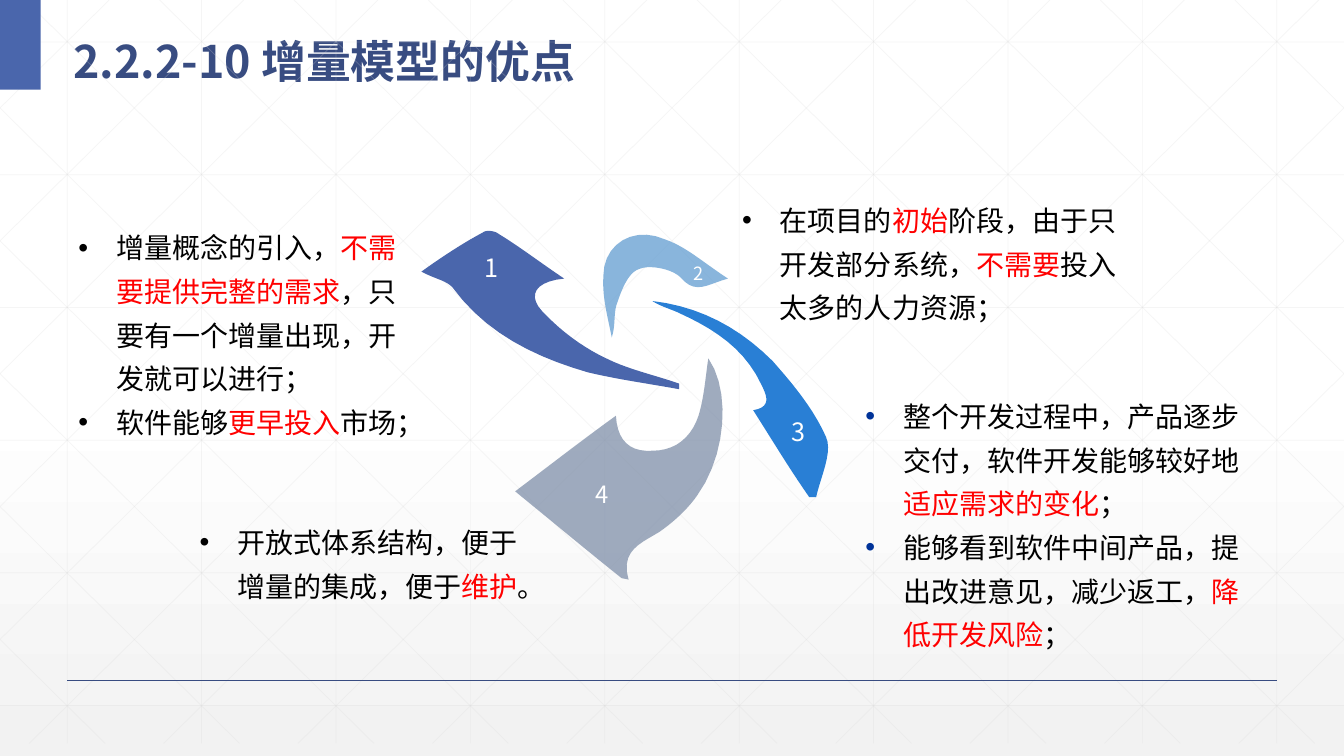
from lxml import etree
from pptx import Presentation
from pptx import util as u
from pptx.dml.color import RGBColor
from pptx.enum import shapes, text
from pptx.oxml.ns import qn

WIDTH, HEIGHT, GRID_HEIGHT = 960, 540, 531
FONT = "Noto Sans CJK SC"
COLORS = {
    "white": "FFFFFF", "pale": "F2F2F2", "grid": "D9D9D9", "navy": "384C81",
    "indigo": "4A66AC", "sky": "629DD1", "blue": "297FD5", "slate": "7F8FA9",
    "black": "000000", "red": "FF0000", "bullet": "003399",
}

# Each petal: colour, opacity, digit, digit size, digit centre, start point,
# then one row of two control points and an end point per curve.
PETALS = [
    ("indigo", 100, "1", 18, (51, 31), (103, 39), [
        (82, 41, 77, 51, 87, 62), (100, 76, 116, 88, 133, 96),
        (149, 104, 168, 108, 185, 114), (185, 115, 185, 116, 185, 118),
        (163, 114, 141, 111, 120, 106), (82, 95, 47, 78, 23, 45),
        (18, 40, 10, 39, 1, 34), (15, 24, 30, 14, 45, 6),
        (47, 4, 54, 5, 56, 7), (71, 16, 85, 27, 103, 39)]),
    ("sky", 75, "2", 13, (199, 35.5), (220, 39), [
        (205, 43, 197, 51, 186, 38), (180, 32, 164, 29, 157, 32),
        (149, 34, 144, 47, 141, 56), (138, 63, 140, 72, 137, 81),
        (134, 66, 130, 52, 131, 37), (131, 14, 153, 1, 175, 11),
        (190, 16, 203, 28, 220, 39)]),
    ("blue", 100, "3", 18, (270, 148), (278, 195), [
        (264, 175, 252, 155, 238, 133), (251, 131, 248, 123, 244, 115),
        (232, 89, 210, 75, 186, 64), (180, 61, 172, 59, 166, 55),
        (200, 59, 228, 74, 252, 98), (267, 115, 281, 132, 290, 152),
        (295, 163, 286, 181, 283, 195)]),
    ("slate", 75, "4", 17, (130, 193), (144, 253), [
        (119, 233, 95, 213, 68, 191), (92, 173, 115, 155, 140, 137),
        (141, 155, 150, 163, 166, 162), (183, 162, 194, 152, 199, 137),
        (203, 124, 204, 109, 206, 96), (222, 119, 219, 165, 198, 194),
        (191, 204, 181, 213, 171, 220), (158, 228, 143, 233, 149, 254)]),
]

# Each note: box, bullet colour, paragraphs; runs alternate plain and highlighted.
NOTES = [
    ((49, 154, 249, 165), "black", [
        ("增量概念的引入，", "不需要提供完整的需求", "，只要有一个增量出现，开发就可以进行；"),
        ("软件能够", "更早投入", "市场；")]),
    ((611, 274.5, 287, 193), "bullet", [
        ("整个开发过程中，产品逐步交付，软件开发能够较好地", "适应需求的变化", "；"),
        ("能够看到软件中间产品，提出改进意见，减少返工，", "降低开发风险", "；")]),
    ((523, 134.5, 285, 99), "black", [
        ("在项目的", "初始", "阶段，由于只开发部分系统，", "不需要", "投入太多的人力资源；")]),
    ((135.5, 364.5, 249, 67), "black", [
        ("开放式体系结构，便于增量的集成，便于", "维护", "。")]),
]


def rgb(name):
    return RGBColor.from_string(COLORS[name])


def points(*values):
    return [u.Pt(value) for value in values]


def set_opacity(fill_or_line, percent):
    color = fill_or_line.find(".//" + qn("a:srgbClr"))
    etree.SubElement(color, qn("a:alpha")).set("val", str(percent * 1000))


def set_font(font, size, color):
    font.size, font.name = u.Pt(size), FONT
    font.color.rgb = rgb(color)
    properties = font._element
    etree.SubElement(properties, qn("a:ea")).set("typeface", FONT)


def add_line(parent, ends, color, width, opacity=100):
    line = parent.add_connector(shapes.MSO_CONNECTOR.STRAIGHT, *points(*ends))
    line.line.color.rgb = rgb(color)
    line.line.width = u.Pt(width)
    if opacity < 100:
        set_opacity(line.line._ln, opacity)
    etree.SubElement(line._element.spPr, qn("a:effectLst"))


def add_backdrop(slide):
    fill = slide.background.fill
    fill.gradient()
    fill.gradient_angle = 270
    for stop, position, color in zip(fill.gradient_stops, (0.53, 1), ("white", "pale")):
        stop.position = position
        stop.color.rgb = rgb(color)

    ends = [(x, 0, x, GRID_HEIGHT) for x in range(48, WIDTH, 96)]
    ends += [(0, 30 + 94.8 * row, WIDTH, 30 + 94.8 * row) for row in range(6)]
    slope = 1.0115
    for offset in range(18 - 5 * 96, WIDTH, 96):
        top = max(0, -offset / slope)
        bottom = min(GRID_HEIGHT, (WIDTH - offset) / slope)
        left, right = offset + slope * top, offset + slope * bottom
        ends += [(left, top, right, bottom), (WIDTH - left, top, WIDTH - right, bottom)]
    grid = slide.shapes.add_group_shape()
    for line_ends in ends:
        add_line(grid.shapes, line_ends, "grid", 0.5, 25)

    add_line(slide.shapes, (48, 486, 912, 486), "navy", 1)
    corner = slide.shapes.add_shape(shapes.MSO_SHAPE.RECTANGLE, *points(0, 0, 29, 64))
    corner.shadow.inherit = False
    corner.fill.solid()
    corner.fill.fore_color.rgb = rgb("indigo")
    corner.line.fill.background()


def add_title(slide, box, words):
    title = slide.shapes.title
    title.left, title.top, title.width, title.height = points(*box)
    frame = title.text_frame
    frame.text = words
    frame.vertical_anchor = text.MSO_ANCHOR.MIDDLE
    paragraph = frame.paragraphs[0]
    paragraph.alignment = text.PP_ALIGN.LEFT
    paragraph.line_spacing = 1.3
    paragraph.font.bold = True
    set_font(paragraph.font, 32, "navy")


def add_note(slide, box, bullet_color, paragraphs):
    frame = slide.shapes.add_textbox(*points(*box)).text_frame
    frame.word_wrap = True
    frame.auto_size = text.MSO_AUTO_SIZE.SHAPE_TO_FIT_TEXT
    for index, pieces in enumerate(paragraphs):
        paragraph = frame.add_paragraph() if index else frame.paragraphs[0]
        paragraph.line_spacing = 1.3
        properties = paragraph._p.get_or_add_pPr()
        properties.set("marL", str(u.Pt(27)))
        properties.set("indent", str(-u.Pt(27)))
        color = etree.SubElement(properties, qn("a:buClr"))
        etree.SubElement(color, qn("a:srgbClr")).set("val", COLORS[bullet_color])
        etree.SubElement(properties, qn("a:buFont")).set("typeface", "Arial")
        etree.SubElement(properties, qn("a:buChar")).set("char", "•")
        for position, piece in enumerate(pieces):
            run = paragraph.add_run()
            run.text = piece
            set_font(run.font, 20, "red" if position % 2 else "black")


def trace(start, curves, steps=10):
    """Return the points along a chain of cubic curves."""
    outline = [start]
    for x1, y1, x2, y2, x3, y3 in curves:
        x0, y0 = outline[-1]
        for step in range(1, steps + 1):
            t = step / steps
            weights = (1 - t) ** 3, 3 * t * (1 - t) ** 2, 3 * t * t * (1 - t), t ** 3
            outline.append((sum(w * x for w, x in zip(weights, (x0, x1, x2, x3))),
                            sum(w * y for w, y in zip(weights, (y0, y1, y2, y3)))))
    return outline


def add_petal(slide, origin, color, opacity, digit, size, center, start, curves):
    left, top = origin
    group = slide.shapes.add_group_shape()
    outline = [points(left + x, top + y) for x, y in trace(start, curves)]
    builder = group.shapes.build_freeform(*outline[0])
    builder.add_line_segments(outline[1:])
    petal = builder.convert_to_shape()
    petal.shadow.inherit = False
    petal.fill.solid()
    petal.fill.fore_color.rgb = rgb(color)
    petal.line.fill.background()
    if opacity < 100:
        set_opacity(petal._element.spPr, opacity)

    x, y = left + center[0], top + center[1]
    frame = group.shapes.add_textbox(*points(x - 12, y - 14, 24, 28)).text_frame
    frame.margin_left = frame.margin_right = frame.margin_top = frame.margin_bottom = 0
    frame.vertical_anchor = text.MSO_ANCHOR.MIDDLE
    paragraph = frame.paragraphs[0]
    paragraph.text = digit
    paragraph.alignment = text.PP_ALIGN.CENTER
    set_font(paragraph.font, size, "white")


def main():
    presentation = Presentation()
    presentation.slide_width, presentation.slide_height = points(WIDTH, HEIGHT)
    slide = presentation.slides.add_slide(presentation.slide_layouts[5])
    add_backdrop(slide)
    for note in NOTES:
        add_note(slide, *note)
    for petal in PETALS:
        add_petal(slide, (300, 160), *petal)
    add_title(slide, (45, 11.5, 829, 52.5), "2.2.2-10 增量模型的优点")
    presentation.save("out.pptx")


if __name__ == "__main__":
    main()
